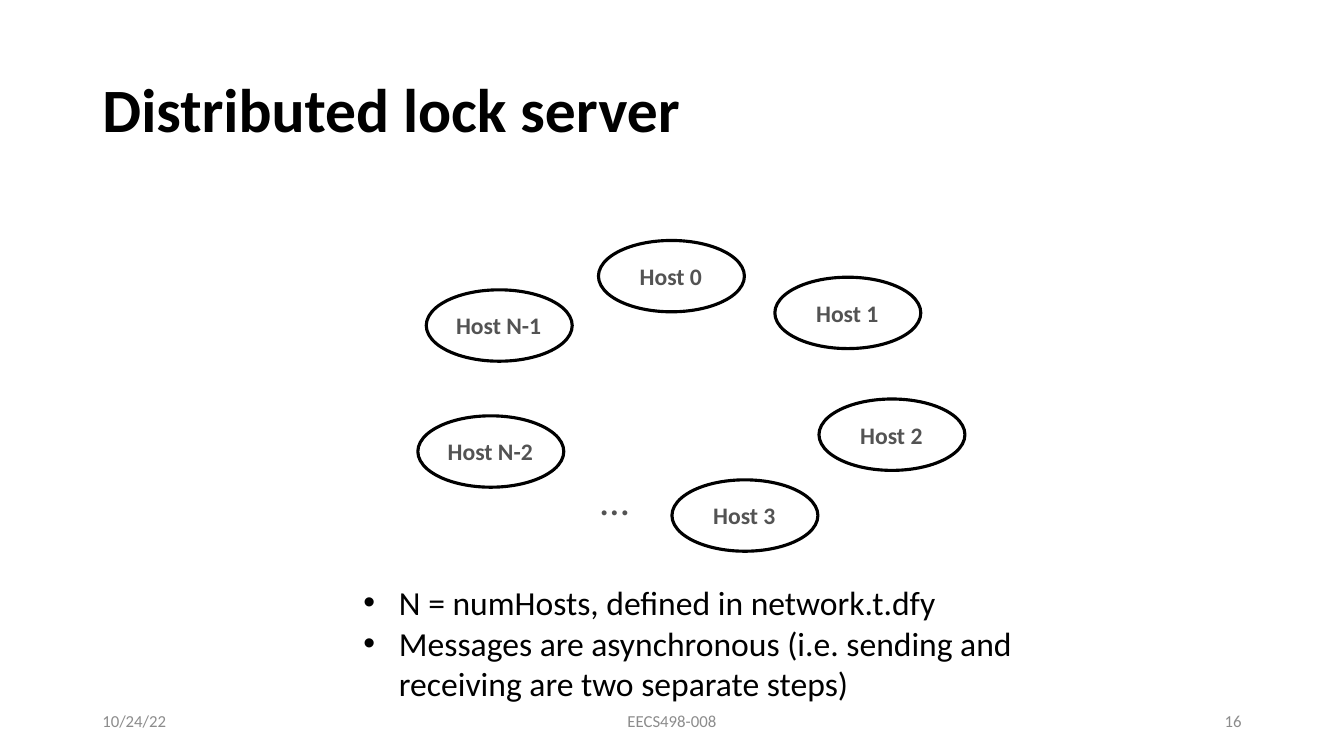
"""Build the slide "Distributed lock server" with its ring of hosts."""
from lxml.etree import SubElement
from pptx import Presentation
from pptx.dml.color import RGBColor
from pptx.enum.shapes import MSO_SHAPE
from pptx.enum.text import MSO_ANCHOR, MSO_AUTO_SIZE, PP_ALIGN
from pptx.oxml.ns import qn
from pptx.util import Pt

PX = 9525
INSET = 4


def color(hex_text):
    """Turn a hex string into a colour."""
    return RGBColor.from_string(hex_text)


def write(shape, lines, size, hex_text, align=PP_ALIGN.LEFT, bold=False, inset=None):
    """Fill a shape with vertically centred, formatted paragraphs."""
    frame = shape.text_frame
    frame.text = "\n".join(lines)
    frame.word_wrap = True
    frame.auto_size = MSO_AUTO_SIZE.NONE
    frame.vertical_anchor = MSO_ANCHOR.MIDDLE
    if inset is not None:
        frame.margin_left = frame.margin_right = inset * PX
        frame.margin_top = frame.margin_bottom = inset * PX
    for paragraph in frame.paragraphs:
        paragraph.alignment = align
        for run in paragraph.runs:
            run.font.name = "Calibri"
            run.font.size = Pt(size)
            run.font.bold = bold
            run.font.color.rgb = color(hex_text)


presentation = Presentation()
presentation.slide_width = 1280 * PX
presentation.slide_height = 720 * PX
slide = presentation.slides.add_slide(presentation.slide_layouts[5])

title = slide.shapes.title
title.left, title.top, title.width, title.height = 88 * PX, 38 * PX, 1104 * PX, 139 * PX
write(title, ["Distributed lock server"], 44, "000000", bold=True)
title.text_frame.paragraphs[0].line_spacing = 0.9

hosts = [
    ("Host 0", 570, 229),
    ("Host 1", 738, 264),
    ("Host 2", 780, 380),
    ("Host 3", 640, 457),
    ("Host N-1", 406, 276),
    ("Host N-2", 398, 396),
]
for name, left, top in hosts:
    group = slide.shapes.add_group_shape()
    ellipse = group.shapes.add_shape(
        MSO_SHAPE.OVAL, left * PX, top * PX, 139 * PX, 68 * PX)
    ellipse.line.color.rgb = color("000000")
    ellipse.line.width = Pt(2.25)
    label = group.shapes.add_shape(
        MSO_SHAPE.RECTANGLE, (left + 24) * PX, (top + 17) * PX, 90 * PX, 34 * PX)
    label.line.fill.background()
    for shape in (ellipse, label):
        shape.shadow.inherit = False
        shape.fill.solid()
        shape.fill.fore_color.rgb = color("FFFFFF")
    write(label, [name], 16.9, "535353", PP_ALIGN.CENTER, True, INSET)

ellipsis_box = slide.shapes.add_textbox(568 * PX, 447 * PX, 35 * PX, 56 * PX)
write(ellipsis_box, ["…"], 29.5, "535353", PP_ALIGN.CENTER, inset=INSET)
ellipsis_box.text_frame.word_wrap = False

notes_box = slide.shapes.add_textbox(342 * PX, 550 * PX, 645 * PX, 124 * PX)
facts = [
    "N = numHosts, defined in network.t.dfy",
    "Messages are asynchronous (i.e. sending and receiving are two separate steps)",
]
write(notes_box, facts, 24, "000000", inset=INSET)
for paragraph in notes_box.text_frame.paragraphs:
    properties = paragraph._p.get_or_add_pPr()
    properties.set("marL", str(34 * PX))
    properties.set("indent", str(-34 * PX))
    SubElement(properties, qn("a:buFont"), typeface="Arial")
    SubElement(properties, qn("a:buChar"), char="•")

footers = [
    ("10/24/22", 88, 288, PP_ALIGN.LEFT),
    ("EECS498-008", 424, 432, PP_ALIGN.CENTER),
    ("16", 904, 288, PP_ALIGN.RIGHT),
]
for words, left, width, align in footers:
    footer = slide.shapes.add_textbox(left * PX, 667 * PX, width * PX, 38 * PX)
    write(footer, [words], 12, "8C8C8C", align)

presentation.save("out.pptx")
